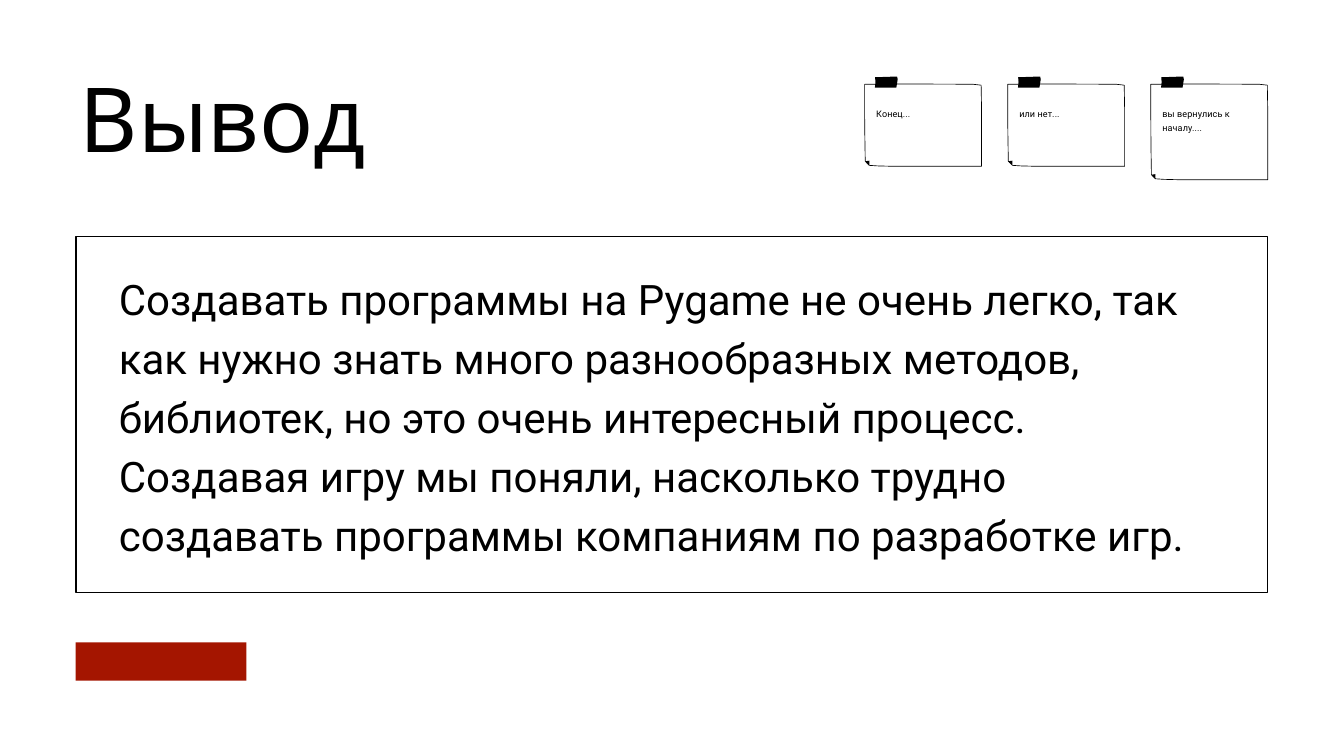
"""Build the conclusion slide with a framed summary and three taped paper notes."""
from pptx import Presentation
from pptx.dml.color import RGBColor
from pptx.enum.shapes import MSO_SHAPE
from pptx.enum.text import MSO_ANCHOR, MSO_AUTO_SIZE, PP_ALIGN
from pptx.util import Pt

COLORS = {"ink": "000000", "paper": "FFFFFF", "accent": "A41500"}


def write_text(box, text, font, size, spacing, tracking=0):
    frame = box.text_frame
    frame.margin_left = frame.margin_right = frame.margin_top = frame.margin_bottom = 0
    frame.word_wrap = True
    frame.auto_size = MSO_AUTO_SIZE.NONE
    frame.vertical_anchor = MSO_ANCHOR.TOP
    para = frame.paragraphs[0]
    para.alignment = PP_ALIGN.LEFT
    para.line_spacing = Pt(spacing)
    span = para.add_run()
    span.text = text
    span.font.name = font
    span.font.size = Pt(size)
    span.font.color.rgb = RGBColor.from_string(COLORS["ink"])
    if tracking:
        span.font._element.set("spc", str(tracking))


def draw_outline(page, left, top, points, fill, line_width=0):
    corners = [(Pt(left + x), Pt(top + y)) for x, y in points]
    builder = page.shapes.build_freeform(*corners[0], scale=1.0)
    builder.add_line_segments(corners[1:], close=True)
    shape = builder.convert_to_shape()
    shape.shadow.inherit = False
    shape.fill.solid()
    shape.fill.fore_color.rgb = RGBColor.from_string(COLORS[fill])
    if line_width:
        shape.line.color.rgb = RGBColor.from_string(COLORS["ink"])
        shape.line.width = Pt(line_width)
    else:
        shape.line.fill.background()


deck = Presentation()
deck.slide_width, deck.slide_height = Pt(1440), Pt(810)
page = deck.slides.add_slide(deck.slide_layouts[5])

title = page.shapes.title
title.left, title.top, title.width, title.height = Pt(85.7), Pt(105.8), Pt(639.4), Pt(82)
write_text(title, "Вывод", "Cabin", 96, 77)

summary = page.shapes.add_textbox(Pt(127.4), Pt(284.4), Pt(1168.6), Pt(312.5))
write_text(
    summary,
    "Создавать программы на Pygame не очень легко, так как нужно знать много "
    "разнообразных методов, библиотек, но это очень интересный процесс. "
    "Создавая игру мы поняли, насколько трудно создавать программы компаниям "
    "по разработке игр.",
    "Roboto", 45, 63,
)

border = page.shapes.add_shape(MSO_SHAPE.RECTANGLE, Pt(81.5), Pt(253.2), Pt(1277), Pt(381.5))
border.shadow.inherit = False
border.fill.background()
border.line.color.rgb = RGBColor.from_string(COLORS["ink"])
border.line.width = Pt(1.2)

note_top = 90
tape = [(11.2, -7.2), (34.8, -8), (35.4, -5), (34.8, -0.8), (34, 3.8), (11, 3.8), (11.6, -2)]
notes = [("Конец...", 1), ("или нет...", 1), ("вы вернулись к началу....", 2)]
for index, (text, lines) in enumerate(notes):
    left = 926.4 + 153.3 * index
    bottom = 73.8 + 14.4 * lines
    paper = [
        (0, 0.3), (45, 0), (116, 0.3), (124.9, 1.3), (125.3, 27), (125.3, bottom),
        (31, bottom), (14, bottom - 0.4), (5, bottom - 1), (0.7, bottom - 5.4),
        (0.2, bottom - 36), (0, 30),
    ]
    fold = [(5, bottom - 1), (5, bottom - 6), (0.7, bottom - 5.4)]
    draw_outline(page, left, note_top, paper, "paper", 0.7)
    draw_outline(page, left, note_top, fold, "ink")
    draw_outline(page, left, note_top, tape, "ink")
    caption = page.shapes.add_textbox(Pt(left + 12.4), Pt(113.8), Pt(98), Pt(14.5 * lines))
    write_text(caption, text, "Roboto", 9.7, 14.5, 10)

bar = page.shapes.add_shape(MSO_SHAPE.RECTANGLE, Pt(81), Pt(688.3), Pt(183), Pt(41))
bar.shadow.inherit = False
bar.fill.solid()
bar.fill.fore_color.rgb = RGBColor.from_string(COLORS["accent"])
bar.line.fill.background()

deck.save("out.pptx")
